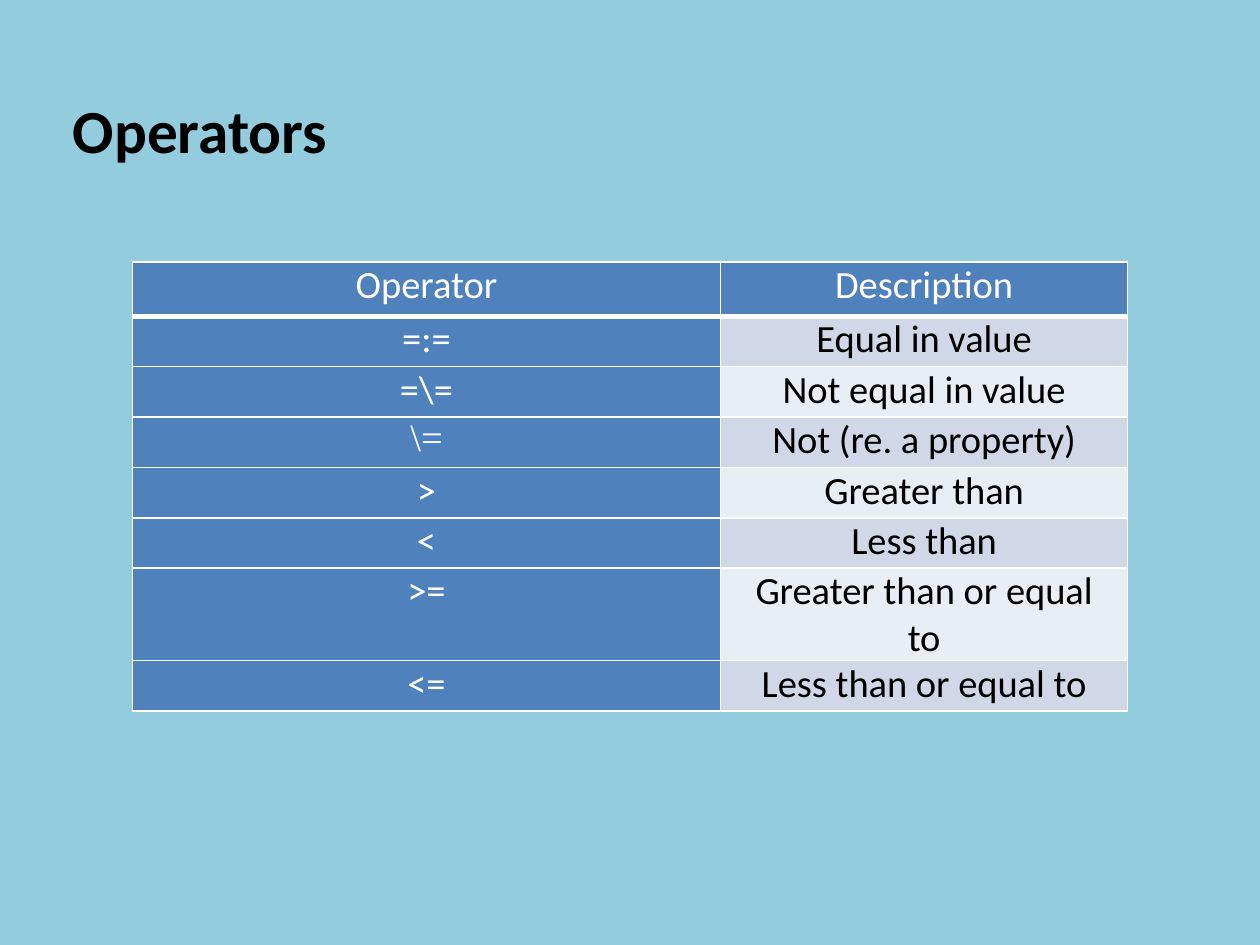
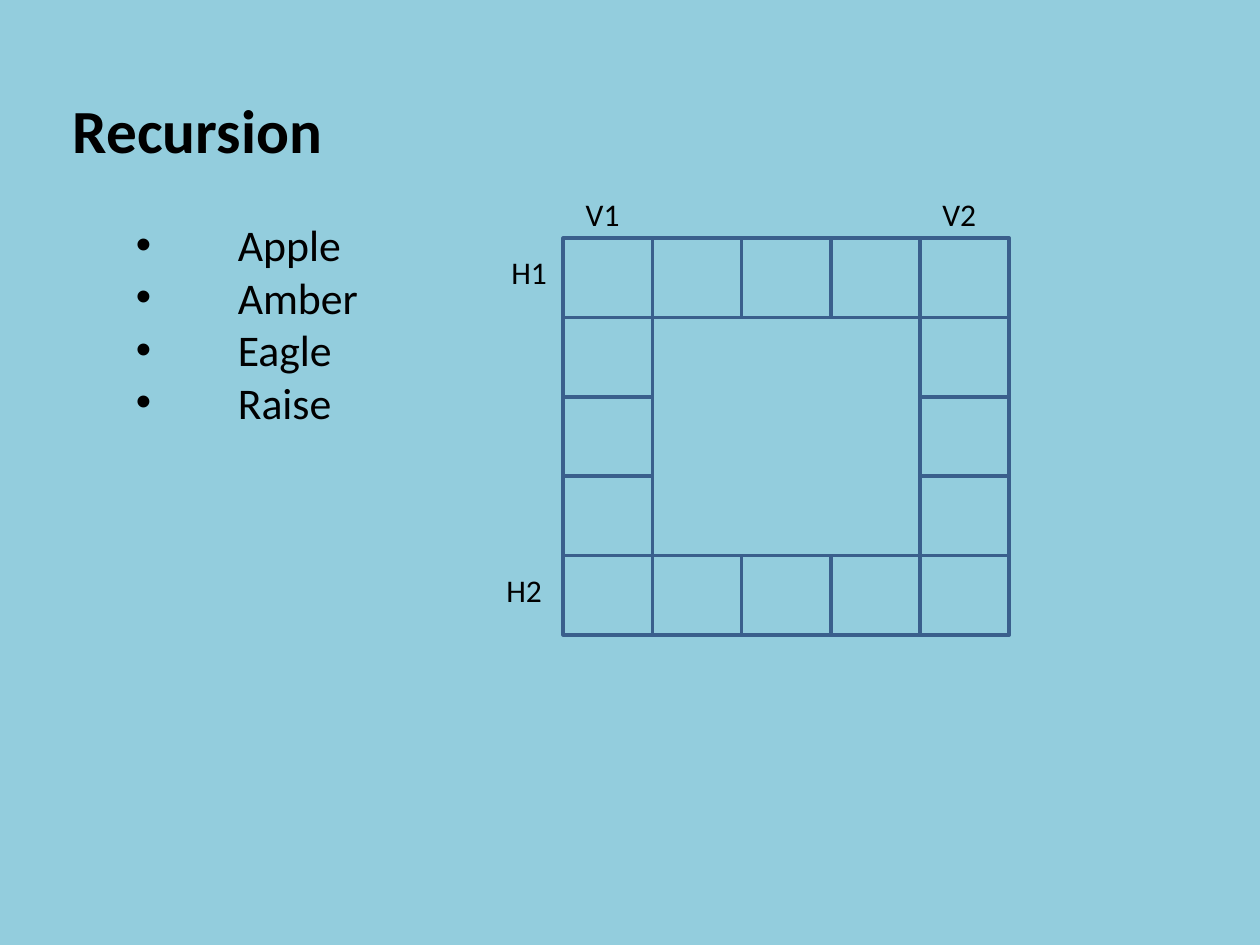
from itertools import product

from lxml.etree import SubElement
from pptx import Presentation
from pptx.dml.color import RGBColor
from pptx.enum.shapes import MSO_SHAPE as Shape
from pptx.enum.text import PP_ALIGN as Align
from pptx.oxml.ns import qn
from pptx.util import Inches, Pt

FONT = "Calibri"
SERIF = "Times New Roman"
BACKGROUND = "93CDDD"
BLACK = "000000"
WHITE = "FFFFFF"
TABLE_BLUE = "4F81BD"
BANDS = ("D0D8E8", "E9EDF4")
GRID_LINE = "3A5F8C"

OPERATORS = [
    ("Operator", "Description"),
    ("=:=", "Equal in value"),
    (r"=\=", "Not equal in value"),
    (r"\=", "Not (re. a property)"),
    (">", "Greater than"),
    ("<", "Less than"),
    (">=", "Greater than or equal to"),
    ("<=", "Less than or equal to"),
]
WORDS = ["Apple", "Amber", "Eagle", "Raise"]
LABELS = [("V1", 4.55, 1.5), ("V2", 7.38, 1.5), ("H1", 3.96, 1.96), ("H2", 3.92, 4.48)]
GRID_LEFT, GRID_TOP = 4.47, 1.89
GRID_WIDTH, GRID_HEIGHT = 3.54, 3.15
GRID_COUNT = 5


def rgb(code):
    """Turn a hex string into a colour."""
    return RGBColor.from_string(code)


def style(paragraph, size, color=BLACK, bold=False, font=FONT):
    """Format every run of a paragraph."""
    for run in paragraph.runs:
        run.font.name = font
        run.font.size = Pt(size)
        run.font.bold = bold
        run.font.color.rgb = rgb(color)


def add_text(shapes, text, left, top, width, height, size, bold=False, wrap=True):
    """Add a text box with one paragraph per line and return its frame."""
    frame = shapes.add_textbox(
        Inches(left), Inches(top), Inches(width), Inches(height)
    ).text_frame
    frame.word_wrap = wrap
    frame.text = text
    for paragraph in frame.paragraphs:
        style(paragraph, size, bold=bold)
    return frame


def add_titled_slide(deck, title):
    """Add a blank slide with the shared background and title."""
    slide = deck.slides.add_slide(deck.slide_layouts[6])
    slide.background.fill.solid()
    slide.background.fill.fore_color.rgb = rgb(BACKGROUND)
    add_text(slide.shapes, title, 0.48, 0.68, 9, 0.69, 35, bold=True)
    return slide


def add_bullets(slide, items, left, top, width, height):
    """Add a bulleted list with a hanging indent."""
    frame = add_text(slide.shapes, "\n".join(items), left, top, width, height, 25)
    for paragraph in frame.paragraphs:
        properties = paragraph._p.get_or_add_pPr()
        properties.set("marL", str(Inches(0.81)))
        properties.set("indent", str(-Inches(0.81)))
        SubElement(properties, qn("a:buFont"), typeface="Arial")
        SubElement(properties, qn("a:buChar"), char="•")


def set_borders(cell, bottom=1):
    """Draw white borders around a table cell."""
    properties = cell._tc.get_or_add_tcPr()
    for side, points in (("L", 1), ("R", 1), ("T", 1), ("B", bottom)):
        line = SubElement(properties, qn(f"a:ln{side}"), w=str(Pt(points)))
        SubElement(SubElement(line, qn("a:solidFill")), qn("a:srgbClr"), val=WHITE)


def fill_cell(cell, text, fill, color, font, bottom):
    """Write and format one table cell."""
    cell.margin_left = cell.margin_right = Inches(0.16)
    cell.margin_top = cell.margin_bottom = 0
    cell.text = text
    paragraph = cell.text_frame.paragraphs[0]
    paragraph.alignment = Align.CENTER
    style(paragraph, 22, color, font=font)
    set_borders(cell, bottom)
    cell.fill.solid()
    cell.fill.fore_color.rgb = rgb(fill)


def add_operator_table(slide):
    """Add the table of operators and their descriptions."""
    table = slide.shapes.add_table(
        len(OPERATORS), 2, Inches(1.05), Inches(2.08), Inches(7.9), Inches(3.23)
    ).table
    table.first_row = table.horz_banding = False
    for column, width in zip(table.columns, (4.67, 3.23)):
        column.width = Inches(width)
    for row, texts in enumerate(OPERATORS):
        table.rows[row].height = Inches(0.4 if row else 0.43)
        for column, text in enumerate(texts):
            described = row > 0 and column == 1
            fill_cell(
                table.cell(row, column),
                text,
                BANDS[(row - 1) % 2] if described else TABLE_BLUE,
                BLACK if described else WHITE,
                SERIF if text == r"\=" else FONT,
                1 if row else 3,
            )


def add_square(shapes, left, top, width, height):
    """Add one unfilled square of the crossword."""
    square = shapes.add_shape(
        Shape.RECTANGLE, Inches(left), Inches(top), Inches(width), Inches(height)
    )
    square.shadow.inherit = False
    square.fill.background()
    square.line.color.rgb = rgb(GRID_LINE)
    square.line.width = Pt(2)


def add_crossword(slide):
    """Add the ring of squares with its word labels."""
    shapes = slide.shapes.add_group_shape().shapes
    width, height = GRID_WIDTH / GRID_COUNT, GRID_HEIGHT / GRID_COUNT
    edges = (0, GRID_COUNT - 1)
    for row, column in product(range(GRID_COUNT), repeat=2):
        if row in edges or column in edges:
            left, top = GRID_LEFT + column * width, GRID_TOP + row * height
            add_square(shapes, left, top, width, height)
    for label, left, top in LABELS:
        add_text(shapes, label, left, top, 0.52, 0.4, 18, wrap=False)


def main():
    """Build both slides and save the deck."""
    deck = Presentation()
    deck.slide_width, deck.slide_height = Inches(10), Inches(7.5)
    add_operator_table(add_titled_slide(deck, "Operators"))
    recursion = add_titled_slide(deck, "Recursion")
    add_bullets(recursion, WORDS, 0.98, 1.68, 2.9, 1.77)
    add_crossword(recursion)
    deck.save("out.pptx")


if __name__ == "__main__":
    main()
